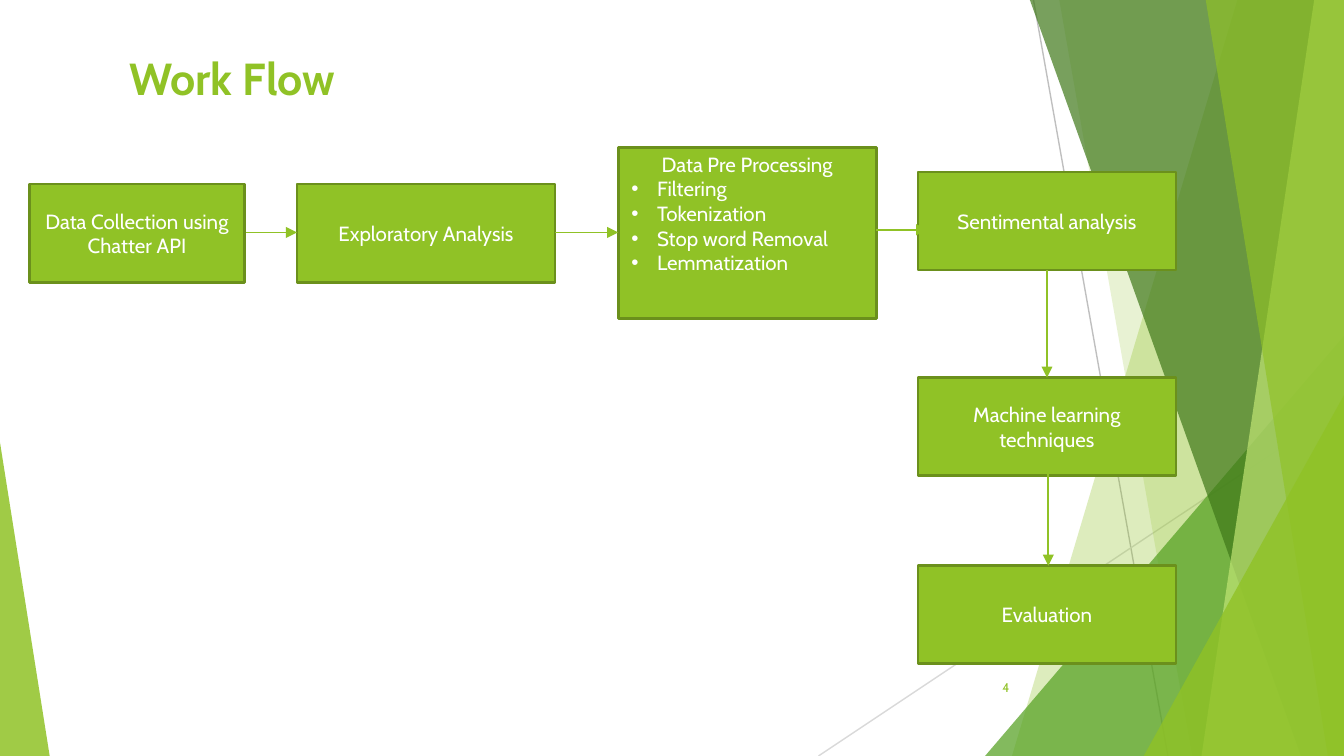
from pptx import Presentation
from pptx.dml.color import RGBColor
from pptx.enum.shapes import MSO_CONNECTOR, MSO_SHAPE
from pptx.enum.text import MSO_ANCHOR, MSO_AUTO_SIZE, PP_ALIGN
from pptx.oxml.ns import qn
from pptx.util import Inches, Pt
from lxml import etree

LINE = MSO_CONNECTOR.STRAIGHT
RECT, TRI = MSO_SHAPE.RECTANGLE, MSO_SHAPE.ISOSCELES_TRIANGLE
TOP, MID, BASE = MSO_ANCHOR.TOP, MSO_ANCHOR.MIDDLE, MSO_ANCHOR.BOTTOM
LEFT, CENTER, RIGHT = PP_ALIGN.LEFT, PP_ALIGN.CENTER, PP_ALIGN.RIGHT
FIXED = MSO_AUTO_SIZE.NONE

WIDE = 10
HIGH = WIDE * 9 / 16
FONT = "Cabin"
COLORS = {
    "green": "90C226", "edge": "6B901C", "leaf": "54A021", "moss": "3F7819",
    "lime": "C0E474", "white": "FFFFFF", "gray": "BFBFBF", "pale": "D9D9D9",
}

# Background: thin rays, then slabs and wedges from back to front
RAYS = [((7.69, 0), (8.69, HIGH), "gray"), ((WIDE, 3.02), (6.09, HIGH), "pale")]
# slab: left edge at top and at bottom; wedge: left, top, width, peak
DECOR = [
    ("slab", (9.21, 7.53), "green", 30),
    ("slab", (7.88, 8.87), "green", 20),
    ("wedge", (7.33, 2.5, 2.67, 1), "leaf", 72),
    ("slab", (7.66, 9.68), "moss", 70),
    ("slab", (9.78, 8.94), "lime", 70),
    ("slab", (8.97, 9.88), "green", 65),
    ("wedge", (8.51, 2.94, 1.49, 1), "green", 80),
    ("wedge", (0, 3.29, 0.37, 0), "green", 85),
]

# Flow steps: left, top, width, height, heading, bullets
BOX_W, BOX_H = 1.92, 0.73
STEPS = [
    (0.22, 1.37, 1.6, BOX_H, "Data Collection using Chatter API", []),
    (2.21, 1.37, BOX_W, BOX_H, "Exploratory Analysis", []),
    (4.6, 1.1, BOX_W, 1.27, "Data Pre Processing",
     ["Filtering", "Tokenization", "Stop word Removal", "Lemmatization"]),
    (6.83, 1.28, BOX_W, BOX_H, "Sentimental analysis", []),
    (6.83, 2.81, BOX_W, BOX_H, "Machine learning techniques", []),
    (6.83, 4.21, BOX_W, BOX_H, "Evaluation", []),
]
ARROWS = [
    ((1.83, 1.73), (2.21, 1.73)),
    ((4.13, 1.73), (4.6, 1.73)),
    ((6.52, 1.71), (6.9, 1.71)),
    ((7.79, 2.01), (7.79, 2.81)),
    ((7.8, 3.41), (7.8, 4.21)),
]


def rgb(name):
    return RGBColor.from_string(COLORS[name])


def apply(item, values):
    for key, value in values.items():
        setattr(item, key, value)


def write(para, text, size, color, align, bold=False):
    para.text = text
    para.alignment = align
    apply(para.font, {"name": FONT, "size": Pt(size), "bold": bold})
    para.font.color.rgb = rgb(color)


def pad(frame, anchor, side, top, base):
    apply(frame, {
        "word_wrap": True, "auto_size": FIXED, "vertical_anchor": anchor,
        "margin_left": Inches(side), "margin_right": Inches(side),
        "margin_top": Inches(top), "margin_bottom": Inches(base)})


def paint(shape, color, alpha=100):
    shape.shadow.inherit = False
    shape.fill.solid()
    shape.fill.fore_color.rgb = rgb(color)
    if alpha < 100:
        tone = shape._element.spPr.find(".//" + qn("a:srgbClr"))
        etree.SubElement(tone, qn("a:alpha"), val=str(alpha * 1000))
    shape.line.fill.background()


def join(start, end, color, width, head=False):
    ends = [Inches(v) for v in (*start, *end)]
    link = shapes.add_connector(LINE, *ends)
    link.line.color.rgb = rgb(color)
    link.line.width = Pt(width)
    props = link._element.spPr
    if head:
        etree.SubElement(props.find(qn("a:ln")), qn("a:tailEnd"),
                         type="triangle")
    etree.SubElement(props, qn("a:effectLst"))


def bullet(para):
    props = para._p.get_or_add_pPr()
    props.set("marL", str(Inches(0.19)))
    props.set("indent", str(-Inches(0.19)))
    etree.SubElement(props, qn("a:buFont"), typeface="Arial")
    etree.SubElement(props, qn("a:buChar"), char="•")


deck = Presentation()
deck.slide_width, deck.slide_height = Inches(WIDE), Inches(HIGH)
slide = deck.slides.add_slide(deck.slide_layouts[5])
shapes = slide.shapes

# Background
for start, end, color in RAYS:
    join(start, end, color, 0.75)
for kind, spot, color, alpha in DECOR:
    if kind == "slab":
        high, low = spot
        pen = shapes.build_freeform(Inches(high), Inches(-0.01))
        pen.add_line_segments([(Inches(x), Inches(y)) for x, y in
                               ((WIDE, -0.01), (WIDE, HIGH), (low, HIGH))])
        part = pen.convert_to_shape()
    else:
        left, top, width, peak = spot
        part = shapes.add_shape(TRI, Inches(left), Inches(top),
                                Inches(width), Inches(HIGH - top))
        part.adjustments[0] = peak
    paint(part, color, alpha)

# Title
title = shapes.title
apply(title, {"left": Inches(0.86), "top": Inches(0.11),
              "width": Inches(8.28), "height": Inches(0.77)})
pad(title.text_frame, BASE, 0.1, 0.1, 0.1)
write(title.text_frame.paragraphs[0], "Work Flow", 24, "green", LEFT, True)

# Page number
page = shapes.add_textbox(Inches(7.05), Inches(4.96), Inches(0.56), Inches(0.3))
pad(page.text_frame, TOP, 0.1, 0.1, 0.1)
write(page.text_frame.paragraphs[0], "4", 6.8, "green", RIGHT)

# Steps
for *spot, head, points in STEPS:
    box = shapes.add_shape(RECT, *[Inches(v) for v in spot])
    paint(box, "green")
    box.line.color.rgb = rgb("edge")
    box.line.width = Pt(1.5)
    frame = box.text_frame
    pad(frame, TOP if points else MID, 0.1, 0.03 if points else 0.05, 0.05)
    write(frame.paragraphs[0], head, 11, "white", CENTER)
    for point in points:
        para = frame.add_paragraph()
        bullet(para)
        write(para, point, 11, "white", LEFT)

# Arrows
for start, end in ARROWS:
    join(start, end, "green", 1, head=True)

deck.save("out.pptx")
